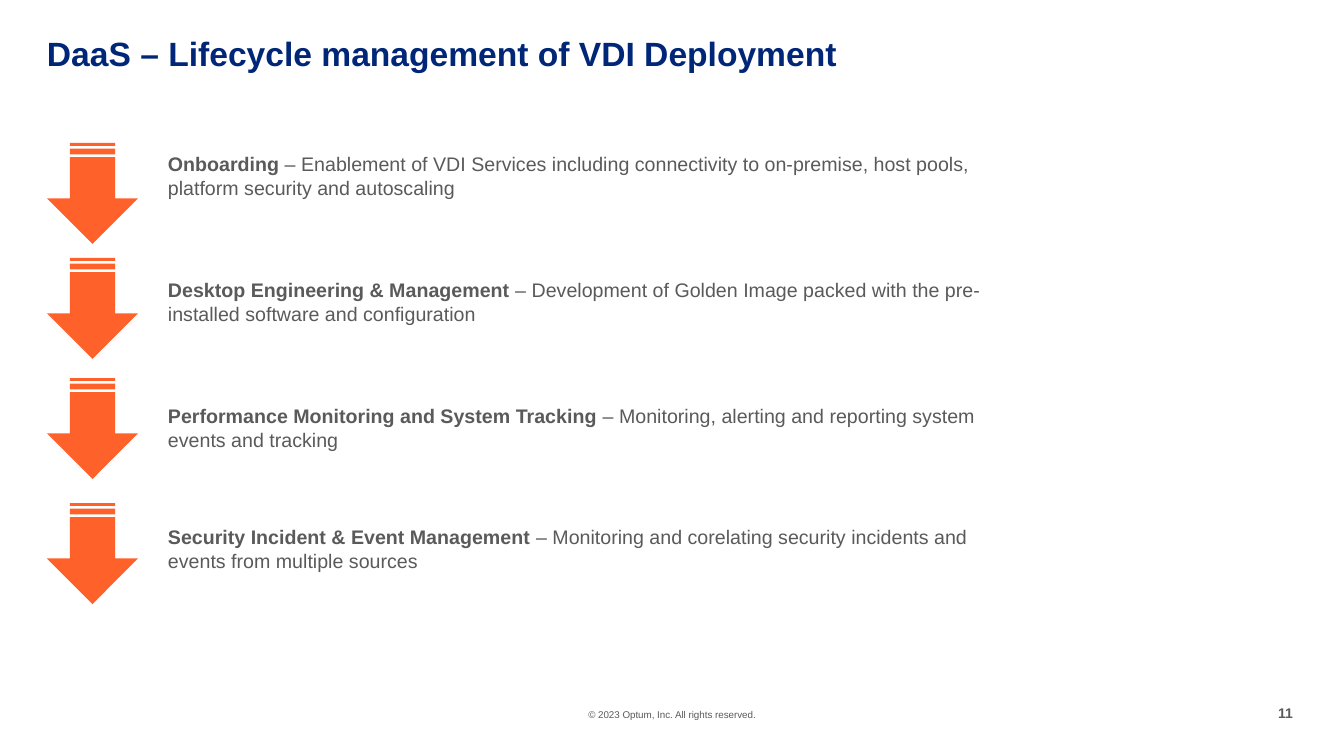
from pptx import Presentation
from pptx.dml.color import RGBColor
from pptx.enum.shapes import MSO_SHAPE
from pptx.enum.text import PP_ALIGN
from pptx.util import Pt

STRIPED_ARROW = MSO_SHAPE.STRIPED_RIGHT_ARROW
LEFT, CENTER, RIGHT = PP_ALIGN.LEFT, PP_ALIGN.CENTER, PP_ALIGN.RIGHT

# Content
TITLE = "DaaS – Lifecycle management of VDI Deployment"
COPYRIGHT = "© 2023 Optum, Inc. All rights reserved."
PAGE = "11"
# Stage name, description, arrow top, text top
STAGES = [
    ("Onboarding",
     " – Enablement of VDI Services including connectivity to on-premise, "
     "host pools, platform security and autoscaling", 148, 152),
    ("Desktop Engineering & Management",
     " – Development of Golden Image packed with the pre-installed software "
     "and configuration", 263, 278),
    ("Performance Monitoring and System Tracking",
     " – Monitoring, alerting and reporting system events and tracking", 383, 404),
    ("Security Incident & Event Management",
     " – Monitoring and corelating security incidents and events from "
     "multiple sources", 508, 525),
]

# Style and layout in px
COLORS = {"title": "002677", "text": "5A5A5A", "arrow": "FF612B"}
FONT = "Arial"
SLIDE_W, SLIDE_H = 1344, 756
ARROW_X, ARROW_W, ARROW_H = 42, 101, 91
TEXT_X, TEXT_W, TEXT_H = 168, 833, 47


def px(n):
    return round(n * 914400 / 100.8)


def add_text(slide, box, runs, size, color, align=LEFT, wrap=True, spacing=None):
    """Add a one-paragraph text box; runs are (text, bold) pairs."""
    tf = slide.shapes.add_textbox(*map(px, box)).text_frame
    tf.word_wrap = wrap
    tf.margin_left = tf.margin_right = tf.margin_top = tf.margin_bottom = 0
    p = tf.paragraphs[0]
    p.alignment = align
    if spacing:
        p.line_spacing = spacing
    for text, bold in runs:
        r = p.add_run()
        r.text = text
        r.font.name = FONT
        r.font.size = Pt(size)
        r.font.bold = bold
        r.font.color.rgb = RGBColor.from_string(COLORS[color])


def add_arrow(slide, top):
    sp = slide.shapes.add_shape(
        STRIPED_ARROW, px(ARROW_X), px(top), px(ARROW_W), px(ARROW_H))
    sp.rotation = 90
    sp.shadow.inherit = False
    sp.fill.solid()
    sp.fill.fore_color.rgb = RGBColor.from_string(COLORS["arrow"])
    sp.line.fill.background()


def main():
    prs = Presentation()
    prs.slide_width, prs.slide_height = px(SLIDE_W), px(SLIDE_H)
    slide = prs.slides.add_slide(prs.slide_layouts[6])

    # Footer
    add_text(slide, (518, 709, 308, 12), [(COPYRIGHT, False)], 7, "text", CENTER)
    add_text(slide, (1276, 705, 17, 17), [(PAGE, True)], 10, "text", RIGHT, wrap=False)

    # Title
    add_text(slide, (47, 37, 1058, 36), [(TITLE, True)], 24, "title", spacing=0.9)

    # Lifecycle stages
    for name, description, arrow_top, text_top in STAGES:
        add_arrow(slide, arrow_top)
        add_text(slide, (TEXT_X, text_top, TEXT_W, TEXT_H),
                 [(name, True), (description, False)], 14, "text")

    prs.save("out.pptx")


if __name__ == "__main__":
    main()
